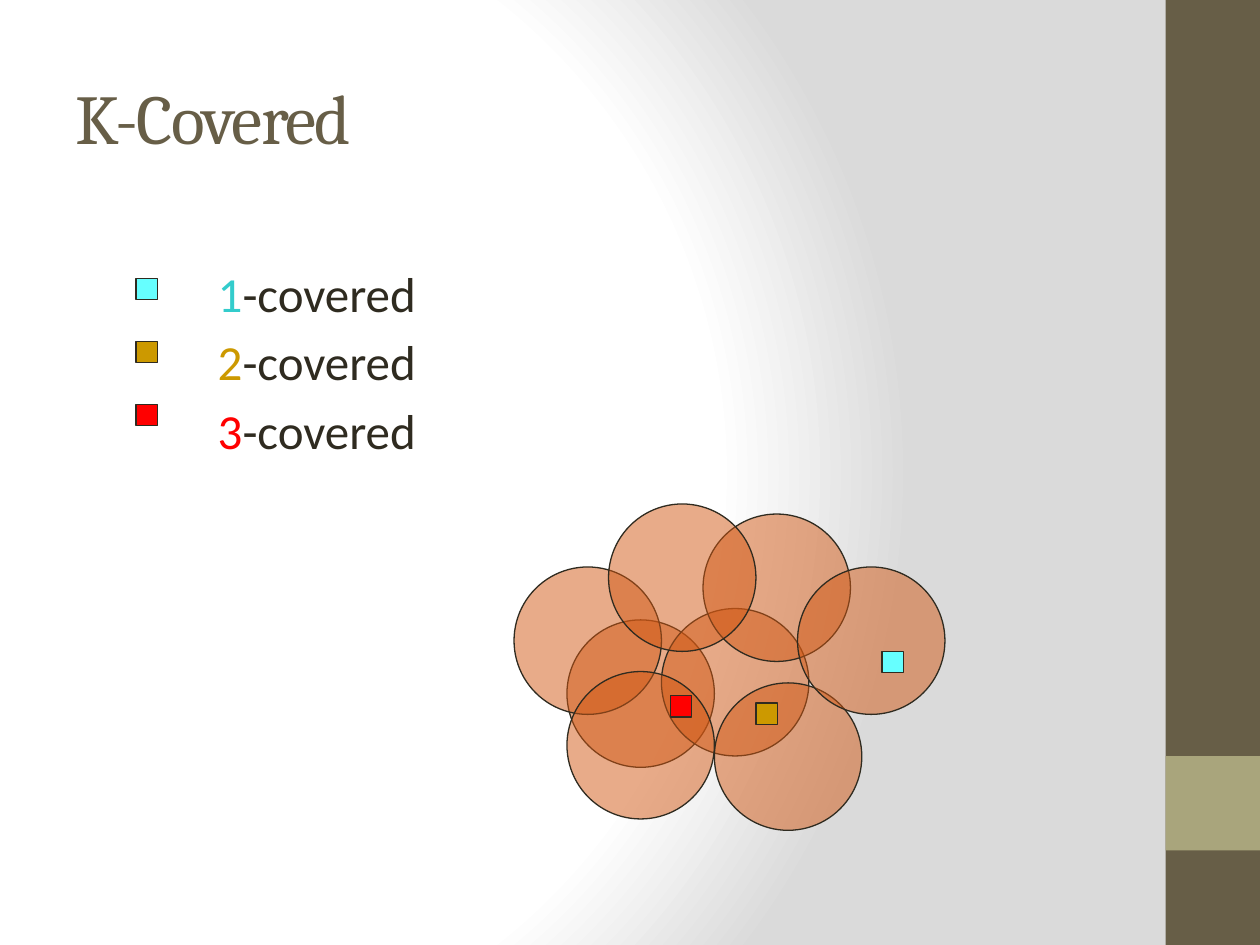
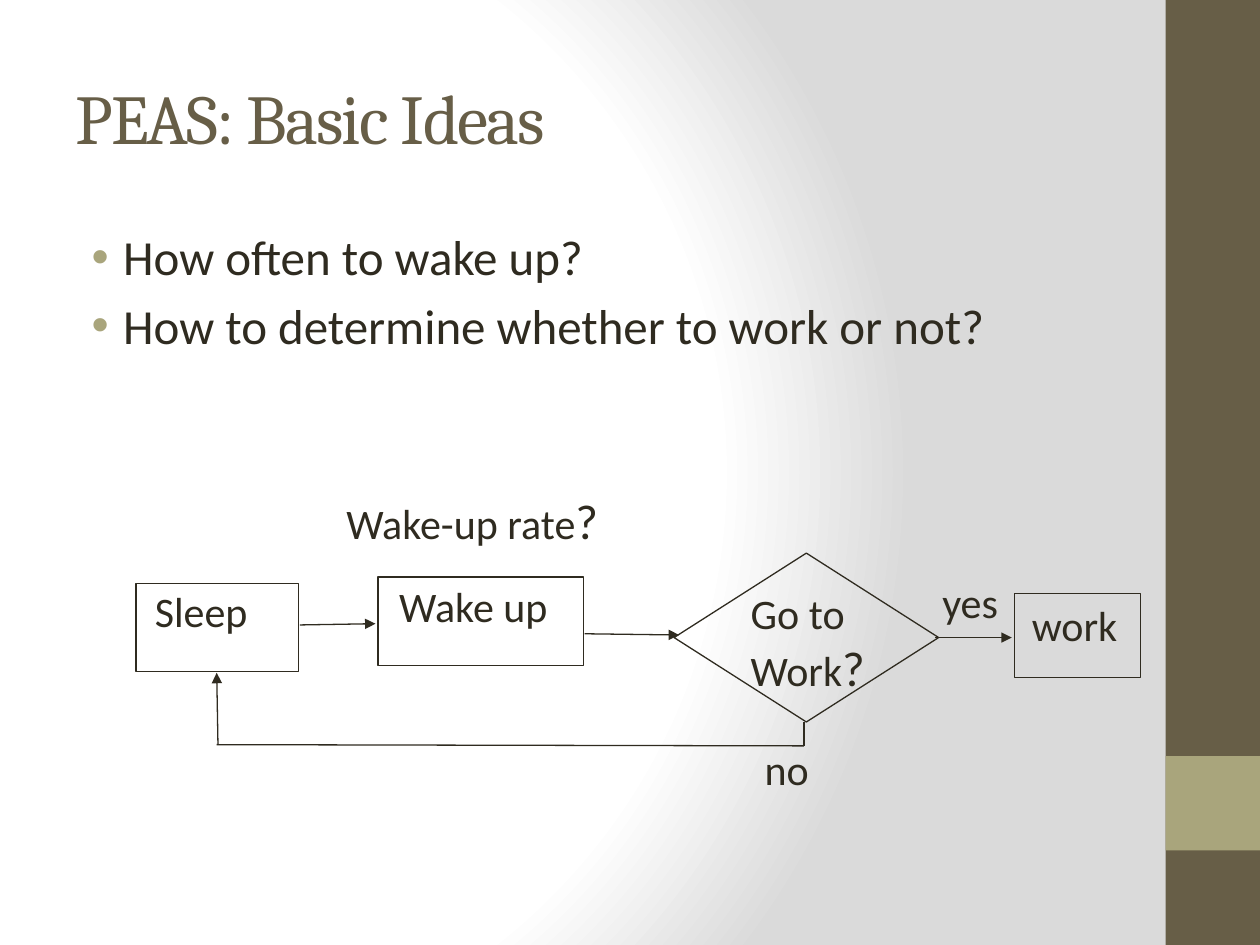
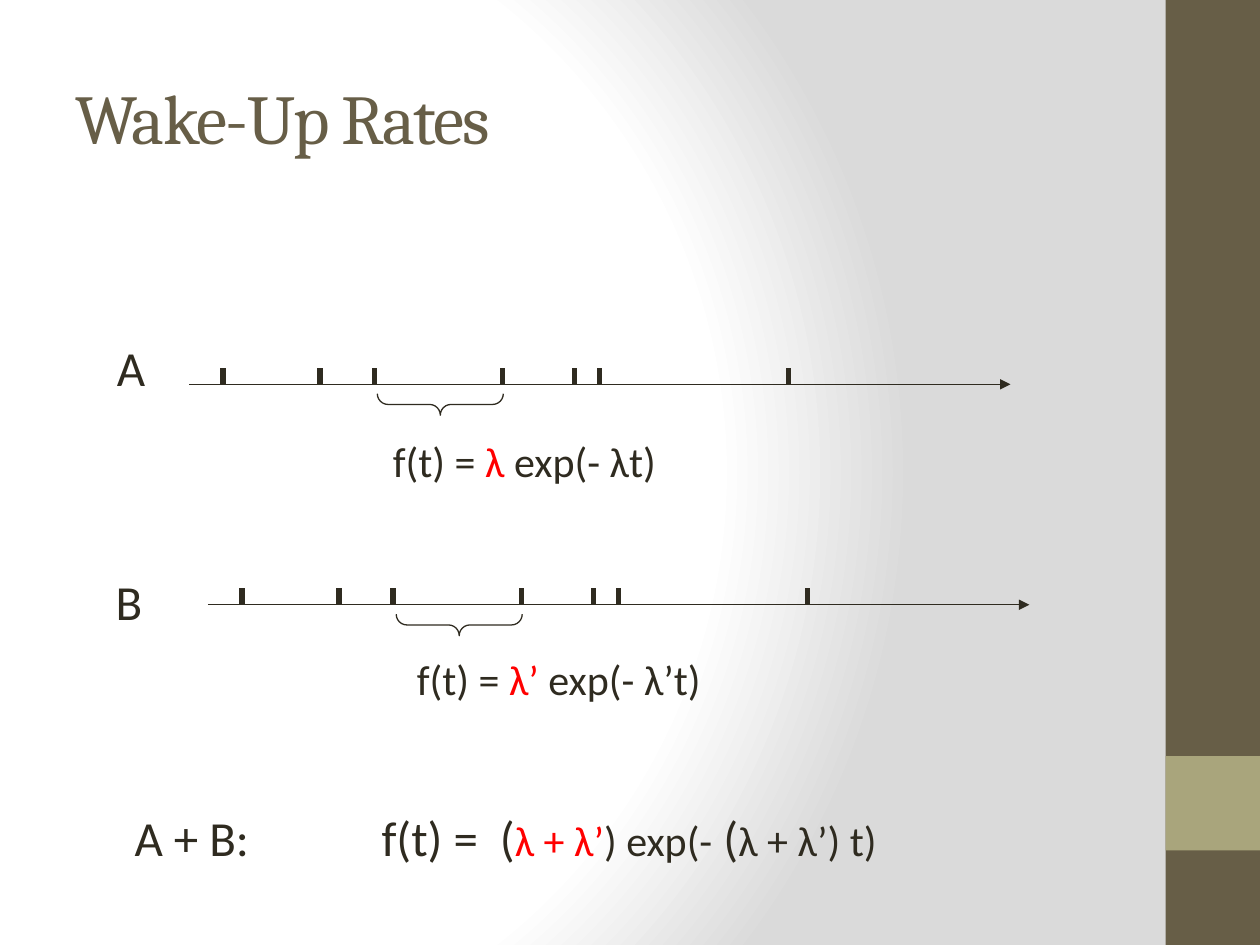
from lxml import etree
from pptx import Presentation
from pptx.dml.color import RGBColor
from pptx.enum.shapes import MSO_CONNECTOR, MSO_SHAPE
from pptx.enum.text import MSO_ANCHOR, MSO_AUTO_SIZE, PP_ALIGN
from pptx.oxml import parse_xml
from pptx.oxml.ns import nsdecls, qn
from pptx.util import Inches, Pt

RECT, OVAL = MSO_SHAPE.RECTANGLE, MSO_SHAPE.OVAL
STEP, CHOICE = MSO_SHAPE.FLOWCHART_PROCESS, MSO_SHAPE.FLOWCHART_DECISION
BRACE = MSO_SHAPE.LEFT_BRACE
STRAIGHT = MSO_CONNECTOR.STRAIGHT
LEFT, MIDDLE = PP_ALIGN.LEFT, MSO_ANCHOR.MIDDLE
NO_FIT, GROW = MSO_AUTO_SIZE.NONE, MSO_AUTO_SIZE.SHAPE_TO_FIT_TEXT

HUES = {
    "ink": "2F2B20", "brown": "675E47", "sage": "A9A57C", "orange": "D25814",
    "teal": "33CCCC", "cyan": "66FFFF", "gold": "CC9900", "red": "FF0000",
    "white": "FFFFFF", "grey": "DADADA",
}
HEAD, BODY = "Cambria", "Calibri"


def rgb(hue):
    return RGBColor.from_string(HUES[hue])


def set_back(master):
    """Give every slide the radial fade from white to grey."""
    master.background.fill.solid()
    old = master.element.xpath(".//p:bgPr/a:solidFill")[0]
    stops = "".join(
        f'<a:gs pos="{pos * 1000}"><a:srgbClr val="{HUES[hue]}"/></a:gs>'
        for pos, hue in ((0, "white"), (75, "white"), (100, "grey")))
    fade = parse_xml(
        f'<a:gradFill {nsdecls("a")} rotWithShape="1"><a:gsLst>{stops}</a:gsLst>'
        '<a:path path="circle"><a:fillToRect l="20000" t="50000" r="100000" '
        'b="50000"/></a:path></a:gradFill>')
    old.getparent().replace(old, fade)


def add_run(para, text, size, hue="ink", font=BODY):
    run = para.add_run()
    run.text = text
    run.font.size = Pt(size)
    run.font.name = font
    run.font.color.rgb = rgb(hue)
    return run


def add_shape(slide, kind, box, fill=None, line="ink", alpha=None):
    shape = slide.shapes.add_shape(kind, *map(Inches, box))
    shape.shadow.inherit = False
    if fill:
        shape.fill.solid()
        shape.fill.fore_color.rgb = rgb(fill)
    else:
        shape.fill.background()
    if alpha:
        tint = shape.element.xpath("./p:spPr/a:solidFill/a:srgbClr")[0]
        etree.SubElement(tint, qn("a:alpha")).set("val", str(alpha * 1000))
    if line:
        shape.line.color.rgb = rgb(line)
        shape.line.width = Pt(0.75)
    else:
        shape.line.fill.background()
    return shape


def add_line(slide, start, end, width=0.75, arrow=False):
    link = slide.shapes.add_connector(STRAIGHT, *map(Inches, start + end))
    link.line.color.rgb = rgb("ink")
    link.line.width = Pt(width)
    props = link.element.spPr
    if arrow:
        tip = etree.SubElement(props.find(qn("a:ln")), qn("a:tailEnd"))
        tip.set("type", "triangle")
    etree.SubElement(props, qn("a:effectLst"))


def add_text(slide, box, *paras, wrap=False, fit=GROW):
    """Add a text box; each paragraph is a list of (text, size[, hue])."""
    frame = slide.shapes.add_textbox(*map(Inches, box)).text_frame
    frame.word_wrap = wrap
    frame.auto_size = fit
    for i, runs in enumerate(paras):
        para = frame.add_paragraph() if i else frame.paragraphs[0]
        for run in runs:
            add_run(para, *run)
    return frame


def add_list(slide, box, *paras, bullet=None):
    frame = add_text(slide, box, *paras, wrap=True, fit=NO_FIT)
    for para in frame.paragraphs:
        para.space_before = Pt(5.6)
        props = para._p.get_or_add_pPr()
        props.set("marL", str(Inches(0.38)))
        props.set("indent", str(Inches(-0.25)))
        if bullet:
            tint = etree.SubElement(props, qn("a:buClr"))
            etree.SubElement(tint, qn("a:srgbClr")).set("val", HUES["sage"])
            etree.SubElement(props, qn("a:buFont")).set("typeface", "Arial")
            etree.SubElement(props, qn("a:buChar")).set("char", bullet)


def set_tabs(para, *stops):
    tabs = etree.SubElement(para._p.get_or_add_pPr(), qn("a:tabLst"))
    for stop in stops:
        tab = etree.SubElement(tabs, qn("a:tab"))
        tab.set("pos", str(Inches(stop)))
        tab.set("algn", "l")


def add_slide(prs, title):
    slide = prs.slides.add_slide(prs.slide_layouts[5])
    add_shape(slide, RECT, (9.25, 0, 0.75, 7.5), "brown", None)
    add_shape(slide, RECT, (9.25, 6, 0.75, 0.75), "sage", None)
    head = slide.shapes.title
    head.left, head.top, head.width, head.height = map(
        Inches, (0.5, 0.3, 8.33, 1.25))
    frame = head.text_frame
    frame.vertical_anchor = MIDDLE
    frame.auto_size = NO_FIT
    para = frame.paragraphs[0]
    para.alignment = LEFT
    run = add_run(para, title, 40, "brown", HEAD)
    run.font._element.set("spc", "-100")
    return slide


def add_cover(prs):
    slide = add_slide(prs, "K-Covered")
    levels = (("1", "teal"), ("2", "gold"), ("3", "red"))
    add_list(slide, (1.5, 2.04, 2.83, 1.58),
             *([(num, 28, hue), ("-covered", 28)] for num, hue in levels))
    discs = ((4.5, 4.92), (5.25, 4.83), (5.58, 4.08), (4.08, 4.5),
             (5.67, 5.42), (6.33, 4.5), (4.5, 5.33), (4.83, 4))
    for spot in discs:
        add_shape(slide, OVAL, spot + (1.17, 1.17), "orange", alpha=50)
    marks = (("cyan", (7, 5.17)), ("gold", (6, 5.58)), ("red", (5.32, 5.52)))
    for i, (hue, spot) in enumerate(marks):
        for place in (spot, (1.08, 2.21 + 0.5 * i)):
            add_shape(slide, RECT, place + (0.17, 0.17), hue)


def add_flow(prs):
    slide = add_slide(prs, "PEAS: Basic Ideas")
    add_list(slide, (0.5, 1.75, 8.33, 5.25),
             [("How often to wake up?", 28)],
             [("How to determine whether to work or not?", 28)], bullet="•")
    nodes = ((STEP, (1.08, 4.63, 1.29, 0.7)), (STEP, (3, 4.58, 1.63, 0.7)),
             (CHOICE, (5.35, 4.39, 2.1, 1.34)), (STEP, (8.05, 4.71, 1, 0.67)))
    for kind, box in nodes:
        add_shape(slide, kind, box)
    words = (("Sleep", (1.13, 4.6, 0.95, 0.5)),
             ("Wake up", (3.07, 4.56, 1.39, 0.5)),
             ("work", (8.09, 4.71, 0.91, 0.5)),
             ("yes", (7.38, 4.53, 0.65, 0.5)),
             ("no", (5.97, 5.85, 0.57, 0.5)))
    for word, box in words:
        add_text(slide, box, [(word, 24)])
    add_text(slide, (5.86, 4.61, 1.12, 0.98),
             [("Go to", 24)], [("Work", 24), ("?", 28)])
    add_text(slide, (2.65, 3.84, 2.22, 0.57), [("Wake-up rate", 24), ("?", 28)])
    add_line(slide, (6.38, 5.73), (6.38, 5.92))
    add_line(slide, (6.38, 5.92), (1.72, 5.91))
    arrows = (((1.73, 5.91), (1.72, 5.34)), ((2.38, 4.96), (2.98, 4.95)),
              ((4.64, 5.03), (5.39, 5.04)), ((7.42, 5.06), (8.03, 5.06)))
    for start, end in arrows:
        add_line(slide, start, end, arrow=True)


def add_axis(slide, left, top):
    """Draw a time line with its wake-up ticks and one marked gap."""
    add_line(slide, (left, top), (left + 6.52, top), arrow=True)
    for step in (0.27, 1.04, 1.47, 2.49, 3.06, 3.26, 4.76):
        add_line(slide, (left + step, top), (left + step, top - 0.13), 3)
    brace = add_shape(slide, BRACE, (left + 1.91, top - 0.34, 0.17, 1))
    brace.rotation = 270
    brace.adjustments[0] = brace.adjustments[1] = 0.5


def add_rates(prs):
    slide = add_slide(prs, "Wake-Up Rates")
    rows = (("A", "λ", (1.5, 3.05), (0.83, 2.63), (3.02, 3.41)),
            ("B", "λ’", (1.65, 4.8), (0.82, 4.49), (3.21, 5.14)))
    for name, rate, axis, tag, law in rows:
        add_axis(slide, *axis)
        add_text(slide, tag + (0.46, 0.57), [(name, 28)])
        add_text(slide, law + (2.8, 0.5),
                 [("f(t) = ", 24), (rate, 24, "red"), (f" exp(- {rate}t)", 24)],
                 wrap=True)
    total = add_text(slide, (0.97, 6.36, 6.9, 0.57),
                     [("A + B:\tf(t) =\t(", 28), ("λ + λ’", 24, "red"),
                      (") exp(-", 24), (" (", 28), ("λ + λ’) t)", 24)],
                     wrap=True)
    set_tabs(total.paragraphs[0], 1.96, 2.9)


def main():
    prs = Presentation()
    prs.slide_width, prs.slide_height = Inches(10), Inches(7.5)
    set_back(prs.slide_master)
    add_cover(prs)
    add_flow(prs)
    add_rates(prs)
    prs.save("out.pptx")


if __name__ == "__main__":
    main()
